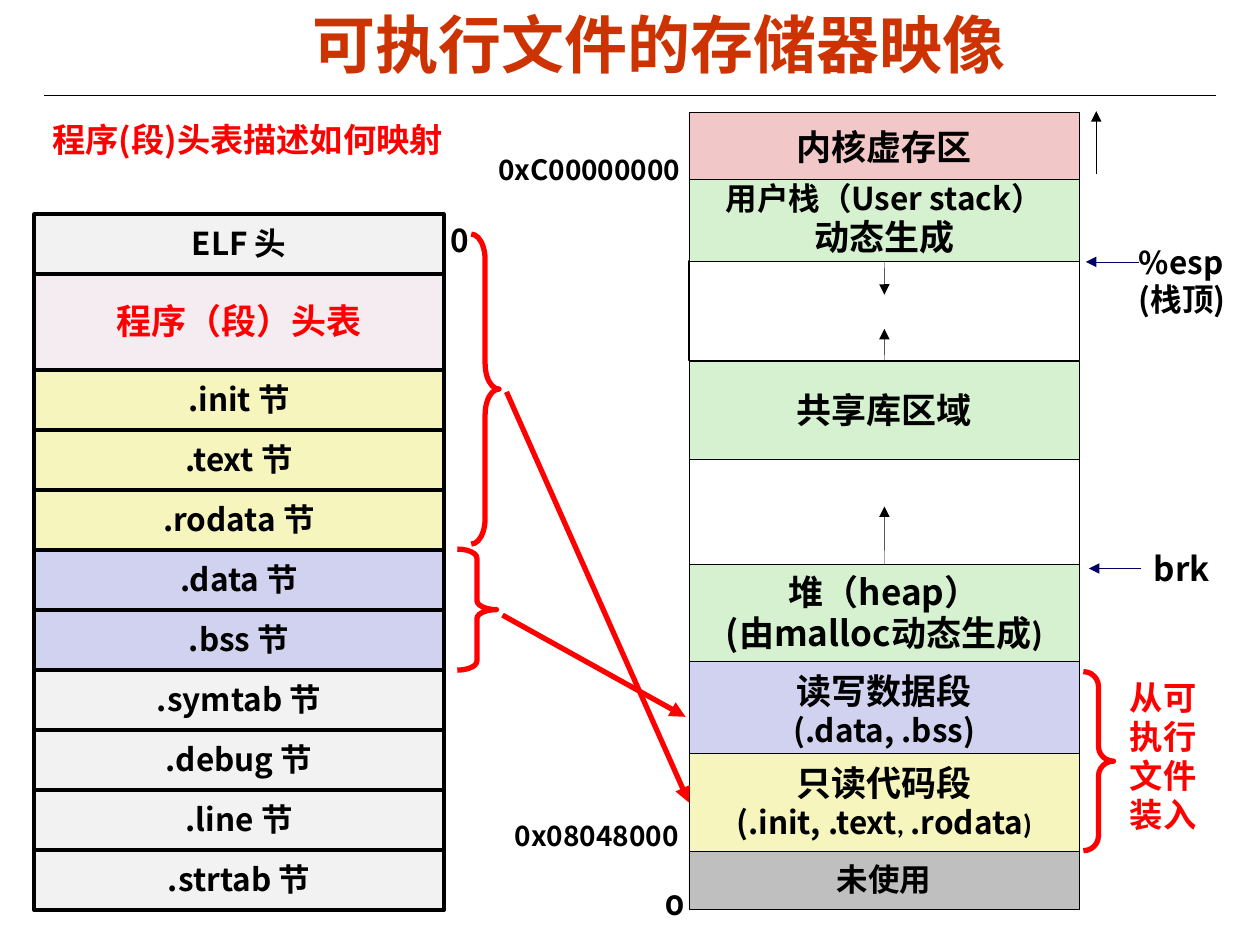
"""Build the slide showing how an executable file maps into memory."""
from lxml import etree
from pptx import Presentation
from pptx import util as u
from pptx.dml import color
from pptx.enum import shapes, text
from pptx.oxml import ns

NOTO = "Noto Sans CJK SC"
BLACK, RED, NAVY, WHITE = "000000", "FF0000", "000066", "FFFFFF"
GREY, GREEN, YELLOW, LILAC = "F2F2F2", "D5F1CF", "F6F5BD", "D1D1F0"
rgb = color.RGBColor.from_string


def write(tf, paras, hue=BLACK, spacing=0.98, align=text.PP_ALIGN.LEFT):
    for i, runs in enumerate(paras):
        p = tf.paragraphs[0] if i == 0 else tf.add_paragraph()
        p.alignment = align
        p.line_spacing = spacing
        for words, size, face in runs:
            r = p.add_run()
            r.text = words
            r.font.size = u.Pt(size)
            r.font.bold = True
            r.font.color.rgb = rgb(hue)
            r.font.name = face
            etree.SubElement(r.font._element, ns.qn("a:ea"), typeface=NOTO)


def add_box(x, y, w, h, fill, weight, paras, hue=BLACK):
    sp = s.shapes.add_shape(shapes.MSO_SHAPE.RECTANGLE, u.Cm(x), u.Cm(y), u.Cm(w), u.Cm(h))
    sp.shadow.inherit = False
    sp.fill.solid()
    sp.fill.fore_color.rgb = rgb(fill)
    sp.line.color.rgb = rgb(BLACK)
    sp.line.width = u.Pt(weight)
    tf = sp.text_frame
    tf.word_wrap = False
    tf.vertical_anchor = text.MSO_ANCHOR.MIDDLE
    write(tf, paras, hue, align=text.PP_ALIGN.CENTER)
    return sp


prs = Presentation()
prs.slide_width, prs.slide_height = u.Cm(25.4), u.Cm(19.05)
s = prs.slides.add_slide(prs.slide_layouts[6])

title = s.shapes.add_textbox(u.Cm(1.19), u.Cm(0), u.Cm(24.21), u.Cm(1.73))
tf = title.text_frame
tf.word_wrap = True
tf.margin_top = tf.margin_bottom = 0
tf.vertical_anchor = text.MSO_ANCHOR.MIDDLE
write(tf, [[("可执行文件的存储器映像", 36, "Arial")]], "CC3300", 1.0, text.PP_ALIGN.CENTER)

segments = {}
for name, y, h, fill, weight, paras in [
    ("gap above libraries", 5.26, 2.01, WHITE, 0.75, []),
    ("kernel", 2.26, 1.45, "F1C7C7", 0.25, [[("内核虚存区", 20, NOTO)]]),
    ("stack", 3.61, 1.65, GREEN, 0.25,
     [[("用户栈（User stack）", 18, NOTO)], [("动态生成", 20, "Calibri")]]),
    ("libraries", 7.29, 1.98, GREEN, 0.25, [[("共享库区域", 20, NOTO)]]),
    ("gap above heap", 9.25, 2.13, WHITE, 0.25, []),
    ("heap", 11.38, 1.98, GREEN, 0.25,
     [[("堆（heap）", 20, NOTO)], [("(由malloc动态生成", 20, NOTO), (")", 20, "Calibri")]]),
    ("unused", 17.17, 1.17, "BFBFBF", 0.25, [[("未使用", 18, NOTO)]]),
    ("data", 13.34, 1.98, LILAC, 0.25,
     [[("读写数据段", 20, NOTO)], [("(.data, .bss)", 18, NOTO)]]),
    ("code", 15.19, 1.98, YELLOW, 0.25,
     [[("只读代码段", 20, NOTO)],
      [("(.init, .text", 18, NOTO), (", ", 16, "Calibri"),
       (".rodata", 18, NOTO), (")", 16, "Calibri")]]),
]:
    segments[name] = add_box(13.89, y, 7.87, h, fill, weight, paras)

y = 4.32
for label, fill in [
    ("ELF 头", GREY), ("程序（段）头表", "993366"), (".init 节", YELLOW),
    (".text 节", YELLOW), (".rodata 节", YELLOW), (".data 节", LILAC),
    (".bss 节", LILAC), (".symtab 节", GREY), (".debug 节", GREY),
    (".line 节", GREY), (".strtab 节", GREY),
]:
    is_table = label == "程序（段）头表"
    h = 1.93 if is_table else 1.21
    sp = add_box(0.69, y, 8.26, h, fill, 2, [[(label, 20 if is_table else 18, NOTO)]],
                 RED if is_table else BLACK)
    if is_table:
        tint = sp._element.spPr.find(ns.qn("a:solidFill"))[0]
        etree.SubElement(tint, ns.qn("a:alpha"), val="9000")
    y += h

for x, y, w, h, wrap, inset, spacing, hue, paras in [
    (8.84, 4.37, 0.89, 1.02, True, 0.25, 0.98, BLACK, [[("0", 18, NOTO)]]),
    (22.96, 4.83, 2.03, 1.73, True, 0, 0.96, BLACK,
     [[("%esp", 18, NOTO)], [("(栈顶)", 18, NOTO)]]),
    (23.01, 11, 1.63, 1.02, False, 0.25, 0.94, BLACK, [[("brk", 19, NOTO)]]),
    (9.8, 3, 4.34, 0.89, False, 0.25, 0.94, BLACK, [[("0xC00000000", 16, NOTO)]]),
    (10.13, 16.43, 3.96, 0.89, False, 0.25, 0.94, BLACK, [[("0x08048000", 16, NOTO)]]),
    (13.16, 17.81, 0.89, 0.91, False, 0.25, 0.98, BLACK, [[("0", 16, "Montserrat")]]),
    (22.53, 13.56, 2.08, 3.4, True, 0.25, 0.98, RED, [[("从可执行文件装入", 19, "Calibri")]]),
    (0.81, 2.29, 9.07, 1.07, True, 0.25, 1.0, RED, [[("程序(段)头表描述如何映射", 19, NOTO)]]),
]:
    sp = s.shapes.add_textbox(u.Cm(x), u.Cm(y), u.Cm(w), u.Cm(h))
    tf = sp.text_frame
    tf.word_wrap = wrap
    tf.auto_size = text.MSO_AUTO_SIZE.SHAPE_TO_FIT_TEXT
    tf.margin_left = tf.margin_right = u.Cm(inset)
    write(tf, paras, hue, spacing)

for x, y, w, h, curve in [
    (21.84, 13.54, 0.61, 3.61, 0.49),
    (9.22, 11.07, 0.79, 2.44, 0.23),
    (9.5, 4.72, 0.56, 6.25, 0.92),
]:
    sp = s.shapes.add_shape(shapes.MSO_SHAPE.RIGHT_BRACE, u.Cm(x), u.Cm(y), u.Cm(w), u.Cm(h))
    sp.shadow.inherit = False
    sp.adjustments[0] = curve
    sp.fill.background()
    sp.line.color.rgb = rgb(RED)
    sp.line.width = u.Pt(3)

for x1, y1, x2, y2, hue, weight, arrow, start, end in [
    (0.89, 1.93, 24.51, 1.93, BLACK, 0.75, False, None, None),
    (22.96, 5.28, 21.89, 5.28, NAVY, 0.25, True, None, None),
    (23.01, 11.46, 21.95, 11.46, NAVY, 0.25, True, None, None),
    (22.1, 3.51, 22.1, 2.24, BLACK, 0.25, True, None, None),
    (17.83, 11.38, 17.83, 10.21, BLACK, 0.25, True, ("heap", 0), None),
    (17.83, 7.29, 17.83, 6.63, BLACK, 0.25, True, ("libraries", 0), None),
    (17.83, 5.26, 17.83, 5.94, BLACK, 0.25, True, ("stack", 2), None),
    (10.21, 7.9, 13.89, 16.18, RED, 3, True, None, ("code", 1)),
    (10.13, 12.4, 13.82, 14.45, RED, 3, True, None, None),
]:
    c = s.shapes.add_connector(shapes.MSO_CONNECTOR.STRAIGHT,
                               u.Cm(x1), u.Cm(y1), u.Cm(x2), u.Cm(y2))
    if start:
        c.begin_connect(segments[start[0]], start[1])
    if end:
        c.end_connect(segments[end[0]], end[1])
    c.line.color.rgb = rgb(hue)
    c.line.width = u.Pt(weight)
    if arrow:
        etree.SubElement(c.line._get_or_add_ln(), ns.qn("a:tailEnd"), type="triangle")
    etree.SubElement(c._element.spPr, ns.qn("a:effectLst"))

prs.save("out.pptx")
